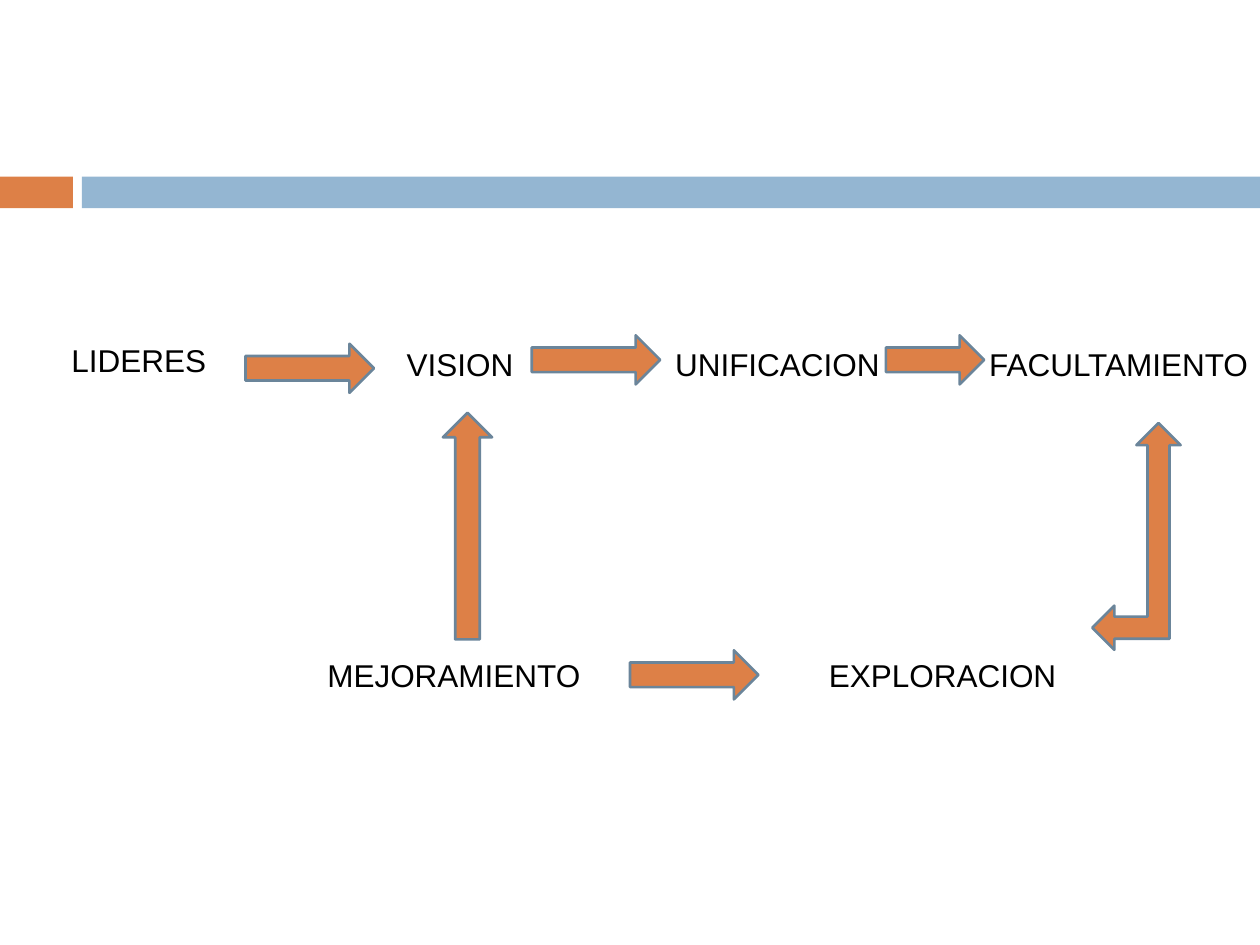
from pptx import Presentation, util as u
from pptx.dml.color import RGBColor
from pptx.enum import shapes, text

ORANGE = RGBColor(0xDD, 0x80, 0x47)
BLUE = RGBColor(0x94, 0xB6, 0xD2)
OUTLINE = RGBColor(0x6B, 0x85, 0x9A)
BLACK = RGBColor(0, 0, 0)

ARROW_LENGTH = 2.59
ARROW_HEIGHT = 0.99
LABEL_HEIGHT = 1.02
BAR_TOP = 3.56
BAR_HEIGHT = 0.64

# text, left, top, width, height in cm
LABELS = [
    ("LIDERES", 1.19, 6.76, 3.38, LABEL_HEIGHT),
    ("VISION", 7.95, 6.83, 3.38, LABEL_HEIGHT),
    ("UNIFICACION", 13.36, 6.83, 5.82, LABEL_HEIGHT),
    ("FACULTAMIENTO", 19.69, 6.83, 5.82, 1.78),
    ("MEJORAMIENTO", 6.35, 13.11, 6.93, LABEL_HEIGHT),
    ("EXPLORACION", 16.46, 13.11, 6.93, LABEL_HEIGHT),
]

# left, top, length in cm, rotation in degrees
ARROWS = [
    (4.95, 6.93, ARROW_LENGTH, 0),
    (10.72, 6.76, ARROW_LENGTH, 0),
    (17.86, 6.76, 1.98, 0),
    (12.7, 13.11, ARROW_LENGTH, 0),
    (7.14, 10.11, 4.57, 270),
]


class Diagram:
    """Holds the style and the slide being drawn."""

    font_format = {"name": "Arial", "size": u.Pt(18), "color": BLACK}
    frame_format = {
        "word_wrap": True,
        "auto_size": text.MSO_AUTO_SIZE.SHAPE_TO_FIT_TEXT,
        "vertical_anchor": text.MSO_ANCHOR.TOP,
    }

    def __init__(self, slide):
        self.slide = slide

    def block(self, kind, box, fill):
        shape = self.slide.shapes.add_shape(kind, *map(u.Cm, box))
        shape.shadow.inherit = False
        shape.fill.solid()
        shape.fill.fore_color.rgb = fill
        shape.line.fill.background()
        return shape

    def bar(self, left, width, fill):
        self.block(shapes.MSO_SHAPE.RECTANGLE,
                   (left, BAR_TOP, width, BAR_HEIGHT), fill)

    def arrow(self, kind, box, rotation=0):
        shape = self.block(kind, box, ORANGE)
        shape.line.color.rgb = OUTLINE
        shape.line.width = u.Pt(1.5)
        shape.rotation = rotation

    def label(self, words, *box):
        frame = self.slide.shapes.add_textbox(*map(u.Cm, box)).text_frame
        for name, value in self.frame_format.items():
            setattr(frame, name, value)
        paragraph = frame.paragraphs[0]
        run = paragraph.add_run()
        run.text = words
        for name, value in self.font_format.items():
            if name == "color":
                run.font.color.rgb = value
            else:
                setattr(run.font, name, value)


def main():
    presentation = Presentation()
    presentation.slide_width = u.Cm(25.4)
    presentation.slide_height = u.Cm(19.05)
    diagram = Diagram(
        presentation.slides.add_slide(presentation.slide_layouts[6]))

    diagram.bar(0, 1.47, ORANGE)
    diagram.bar(1.65, 23.75, BLUE)
    for label in LABELS:
        diagram.label(*label)
    for left, top, length, rotation in ARROWS:
        diagram.arrow(shapes.MSO_SHAPE.RIGHT_ARROW,
                      (left, top, length, ARROW_HEIGHT), rotation)
    diagram.arrow(shapes.MSO_SHAPE.LEFT_UP_ARROW, (22.02, 8.53, 1.78, 4.57))

    presentation.save("out.pptx")


if __name__ == "__main__":
    main()
